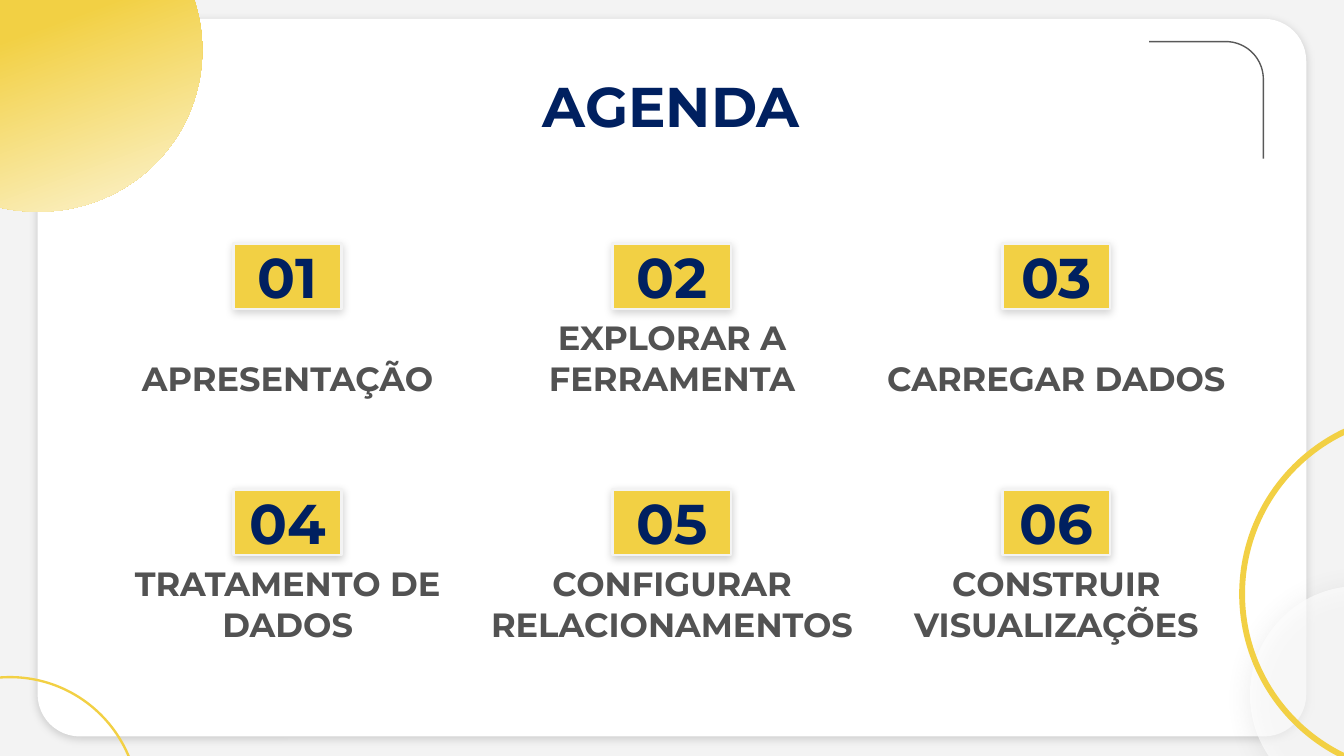
from math import cos, pi, sin

from lxml.etree import SubElement
from pptx import Presentation
from pptx.dml.color import RGBColor
from pptx.enum.shapes import MSO_SHAPE as Preset
from pptx.enum.text import MSO_ANCHOR as Anchor, PP_ALIGN as Align
from pptx.oxml import parse_xml
from pptx.oxml.ns import nsdecls, qn
from pptx.util import Inches, Pt

NAVY = RGBColor(0x00, 0x20, 0x60)
YELLOW = RGBColor(0xF2, 0xD0, 0x44)
GRAY = RGBColor(0x52, 0x52, 0x52)
DARK_GRAY = RGBColor(0x59, 0x59, 0x59)
LIGHT_GRAY = RGBColor(0xF3, 0xF3, 0xF3)
WHITE = RGBColor(0xFF, 0xFF, 0xFF)
BLACK = RGBColor(0x00, 0x00, 0x00)

TITLE = "AGENDA"
TOPICS = [
    ["APRESENTAÇÃO", "EXPLORAR A FERRAMENTA", "CARREGAR DADOS"],
    ["TRATAMENTO DE DADOS", "CONFIGURAR RELACIONAMENTOS", "CONSTRUIR VISUALIZAÇÕES"],
]

WIDTH = 10
HEIGHT = WIDTH * 9 / 16
COLUMN_PITCH, ROW_PITCH = 2.86, 1.83
FIRST_CENTER = WIDTH / 2 - COLUMN_PITCH
BADGE_TOP, BADGE_HEIGHT, BADGE_WIDTHS = 1.81, 0.49, [0.8, 0.88, 0.8]
LABEL_TOP, LABEL_HEIGHT, LABEL_WIDTH, WIDE_LABEL = 2.32, 0.74, 2.72, 2.95

HEADING = {"size": Pt(30), "name": "Montserrat", "bold": True}
LABEL = {"size": Pt(18), "name": "Montserrat", "bold": True}
SOFT_SHADOW = (BLACK, 17, 4.5, 1.5, 90)
STRONG_SHADOW = (BLACK, 20, 4.5, 1.5, 90)
BUBBLE_SHADOW = (DARK_GRAY, 19, 14.6, 2.2, 74)


def add_alpha(color_element, percent):
    SubElement(color_element, qn("a:alpha"), val=str(percent * 1000))


def add_shadow(shape, color, percent, blur, distance, angle):
    effects = shape._element.spPr.find(qn("a:effectLst"))
    shadow = SubElement(effects, qn("a:outerShdw"), blurRad=str(Pt(blur)),
                        dist=str(Pt(distance)), dir=str(angle * 60000),
                        algn="bl", rotWithShape="0")
    add_alpha(SubElement(shadow, qn("a:srgbClr"), val=str(color)), percent)


def add_preset(slide, preset, box, fill, adjustment=None, line=None, shadow=None):
    shape = slide.shapes.add_shape(preset, *map(Inches, box))
    shape.shadow.inherit = False
    shape.fill.solid()
    shape.fill.fore_color.rgb = fill
    if adjustment is not None:
        shape.adjustments[0] = adjustment
    if line is None:
        shape.line.fill.background()
    else:
        shape.line.color.rgb = line
        shape.line.width = Pt(1.5)
    if shadow:
        add_shadow(shape, *shadow)
    return shape


def write(shape, text, font_values, color, anchor):
    frame = shape.text_frame
    frame.word_wrap = True
    frame.vertical_anchor = anchor
    for side in ("left", "top", "right", "bottom"):
        setattr(frame, f"margin_{side}", Inches(0.1))
    paragraph = frame.paragraphs[0]
    paragraph.alignment = Align.CENTER
    run = paragraph.add_run()
    run.text = text
    for name, value in font_values.items():
        setattr(run.font, name, value)
    run.font.color.rgb = color


def add_text(slide, box, *text_values):
    write(slide.shapes.add_textbox(*map(Inches, box)), *text_values)


def add_corner_line(slide, left, top, right, bottom, radius, steps=24):
    angles = [pi / 2 * step / steps for step in range(steps + 1)]
    arc = [(right - radius + radius * sin(angle), top + radius - radius * cos(angle))
           for angle in angles]
    points = [(Inches(x), Inches(y)) for x, y in [(left, top), *arc, (right, bottom)]]
    builder = slide.shapes.build_freeform(*points[0])
    builder.add_line_segments(points[1:], close=False)
    corner = builder.convert_to_shape()
    corner.shadow.inherit = False
    corner.fill.background()
    corner.line.color.rgb = DARK_GRAY
    corner.line.width = Pt(0.75)


def add_gradient_disc(slide):
    disc = add_preset(slide, Preset.OVAL, (-0.99, -0.87, 2.5, 2.44), YELLOW)
    disc.rotation = 204.8
    stops = "".join(
        f'<a:gs pos="{share * 1000}"><a:srgbClr val="{color}"/></a:gs>'
        for share, color in [(0, YELLOW), (47, YELLOW), (100, WHITE)])
    properties = disc._element.spPr
    properties.replace(properties.find(qn("a:solidFill")), parse_xml(
        f'<a:gradFill {nsdecls("a")} rotWithShape="1"><a:gsLst>{stops}</a:gsLst>'
        f'<a:lin ang="{225 * 60000}" scaled="0"/></a:gradFill>'))


def add_backdrop(slide):
    slide.background.fill.solid()
    slide.background.fill.fore_color.rgb = LIGHT_GRAY
    add_preset(slide, Preset.ROUNDED_RECTANGLE, (0.28, 0.14, 9.44, 5.34), WHITE,
               0.059, shadow=SOFT_SHADOW)
    bubble = add_preset(slide, Preset.OVAL, (9.3, 4.36, 1.62, 1.62), WHITE,
                        shadow=BUBBLE_SHADOW)
    bubble.rotation = 257.6
    add_alpha(bubble._element.spPr.find(qn("a:solidFill"))[0], 62)
    add_preset(slide, Preset.DONUT, (9.22, 3.06, 2.72, 2.72), YELLOW, 0.016)
    add_preset(slide, Preset.DONUT, (-0.89, 5.03, 1.93, 1.93), YELLOW, 0.009)
    add_corner_line(slide, 8.55, 0.31, 9.4, 1.18, 0.28)


def add_topics(slide):
    for row, topics in enumerate(TOPICS):
        offset = row * ROW_PITCH
        for column, topic in enumerate(topics):
            center = FIRST_CENTER + column * COLUMN_PITCH
            width = BADGE_WIDTHS[column]
            badge = add_preset(
                slide, Preset.RECTANGLE,
                (center - width / 2, BADGE_TOP + offset, width, BADGE_HEIGHT),
                YELLOW, line=LIGHT_GRAY, shadow=[SOFT_SHADOW, STRONG_SHADOW][row])
            number = row * len(topics) + column + 1
            write(badge, f"{number:02}", HEADING, NAVY, Anchor.MIDDLE)
            width = WIDE_LABEL if (row, column) == (1, 1) else LABEL_WIDTH
            add_text(slide, (center - width / 2, LABEL_TOP + offset, width, LABEL_HEIGHT),
                     topic, LABEL, GRAY, Anchor.BOTTOM)


def main():
    presentation = Presentation()
    presentation.slide_width = Inches(WIDTH)
    presentation.slide_height = Inches(HEIGHT)
    slide = presentation.slides.add_slide(presentation.slide_layouts[6])
    add_backdrop(slide)
    add_text(slide, (0.78, 0.43, 8.43, 0.63), TITLE, HEADING, NAVY, Anchor.TOP)
    add_topics(slide)
    add_gradient_disc(slide)
    presentation.save("out.pptx")


if __name__ == "__main__":
    main()
